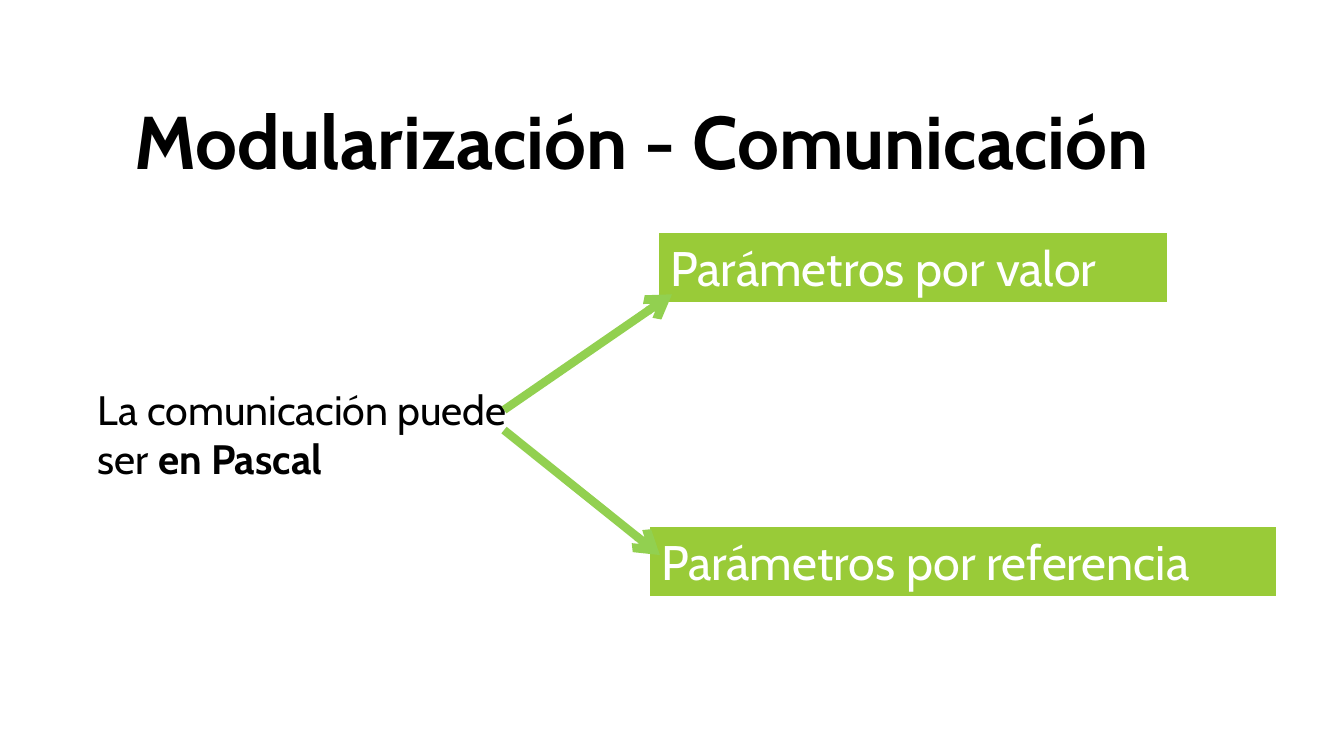
"""Build a slide on the two ways modules communicate in Pascal."""
import pptx
import pptx.dml.color
import pptx.enum.shapes
import pptx.enum.text
import pptx.oxml.ns
import pptx.util
from lxml import etree

Inches = pptx.util.Inches
Pt = pptx.util.Pt
ANCHOR = pptx.enum.text.MSO_ANCHOR
COLORS = {"ink": "000000", "paper": "FFFFFF", "box": "99CB38", "arrow": "92D050"}


def color(name):
    return pptx.dml.color.RGBColor.from_string(COLORS[name])


def write(shape, runs, size, ink="ink", anchor=ANCHOR.TOP):
    frame = shape.text_frame
    frame.word_wrap = True
    frame.vertical_anchor = anchor
    para = frame.paragraphs[0]
    para.alignment = pptx.enum.text.PP_ALIGN.LEFT
    para.font.name = "Cabin"
    para.font.size = Pt(size)
    para.font.color.rgb = color(ink)
    for text, bold in runs:
        run = para.add_run()
        run.text = text
        run.font.bold = bold
    return para


def add_text(slide, place, runs, size, anchor=ANCHOR.TOP):
    box = slide.shapes.add_textbox(*map(Inches, place))
    return write(box, runs, size, anchor=anchor)


def add_box(slide, place, text):
    kind = pptx.enum.shapes.MSO_SHAPE.RECTANGLE
    box = slide.shapes.add_shape(kind, *map(Inches, place))
    box.shadow.inherit = False
    box.fill.solid()
    box.fill.fore_color.rgb = color("box")
    box.line.color.rgb = color("paper")
    box.line.width = Pt(2)
    write(box, [(text, False)], 26, "paper")


def add_arrow(slide, start, end):
    kind = pptx.enum.shapes.MSO_CONNECTOR.STRAIGHT
    arrow = slide.shapes.add_connector(kind, *map(Inches, start + end))
    arrow.line.color.rgb = color("arrow")
    arrow.line.width = Pt(4.5)
    qn = pptx.oxml.ns.qn
    line = arrow._element.spPr.find(qn("a:ln"))
    etree.SubElement(line, qn("a:tailEnd"), type="arrow")
    etree.SubElement(arrow._element.spPr, qn("a:effectLst"))


def main():
    deck = pptx.Presentation()
    deck.slide_width = Inches(10)
    deck.slide_height = Inches(10 * 9 / 16)
    slide = deck.slides.add_slide(deck.slide_layouts[6])

    title = add_text(slide, (0.9, 0.23, 8.25, 1.19),
                     [("Modularización - Comunicación", True)], 40, ANCHOR.BOTTOM)
    title.line_spacing = 0.85
    add_text(slide, (0.63, 2.81, 3.36, 0.84),
             [("La comunicación puede ser ", False), ("en Pascal", True)], 22)

    add_box(slide, (4.89, 1.72, 3.81, 0.54), "Parámetros por valor")
    add_box(slide, (4.82, 3.91, 4.69, 0.54), "Parámetros por referencia")

    add_arrow(slide, (3.75, 3.05), (5, 2.19))
    add_arrow(slide, (3.75, 3.2), (4.91, 4.13))
    deck.save("out.pptx")


if __name__ == "__main__":
    main()
